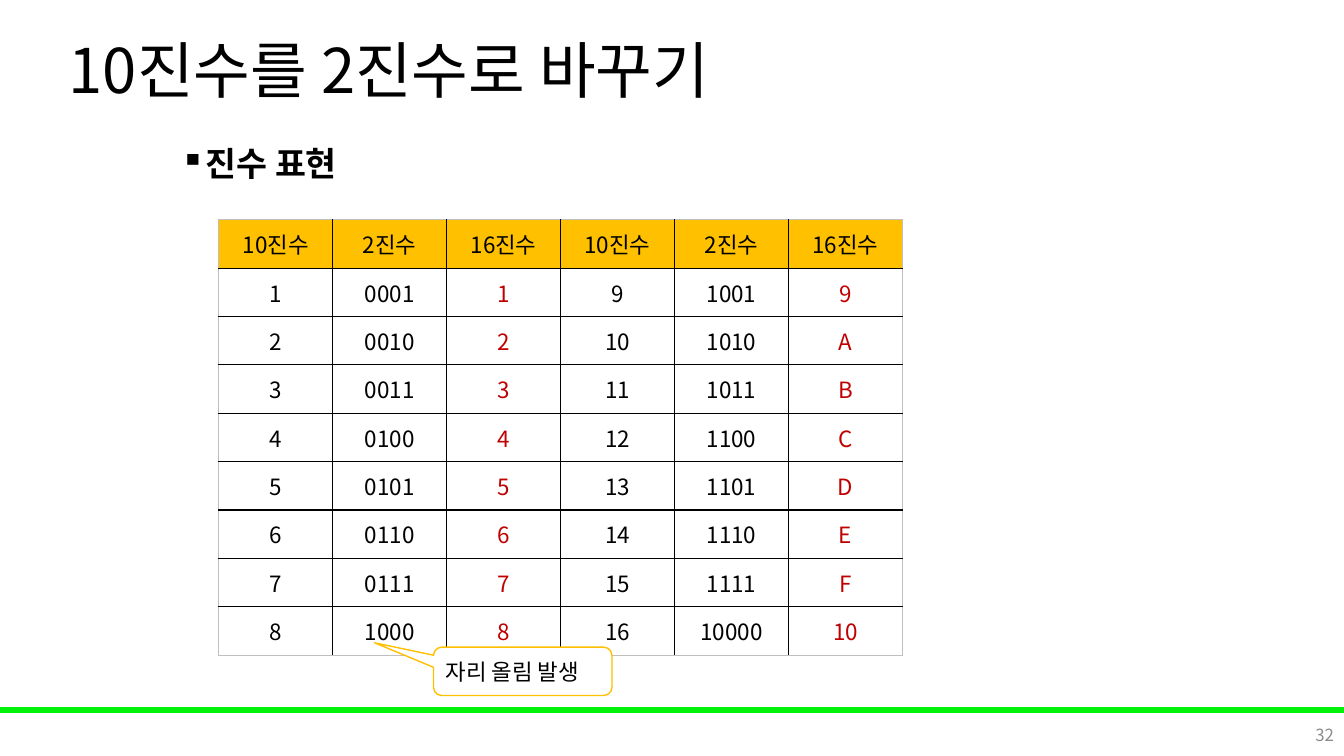
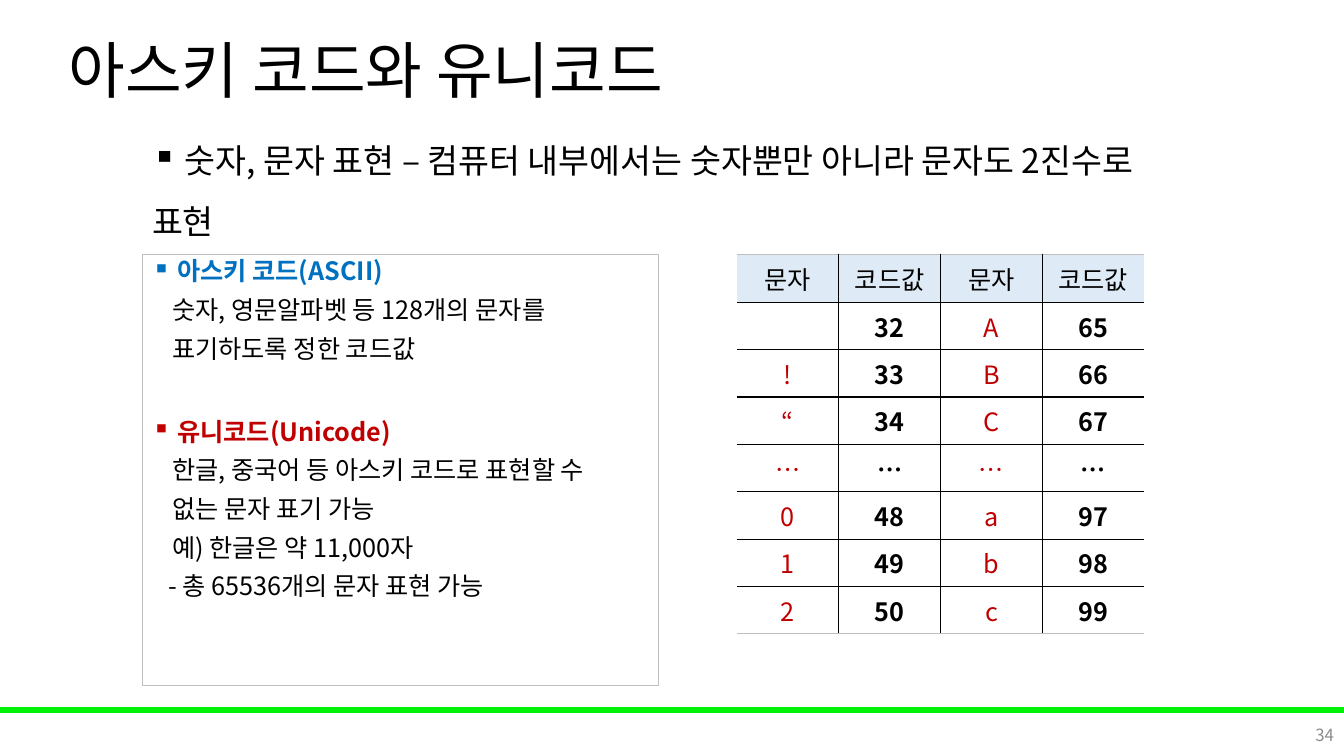
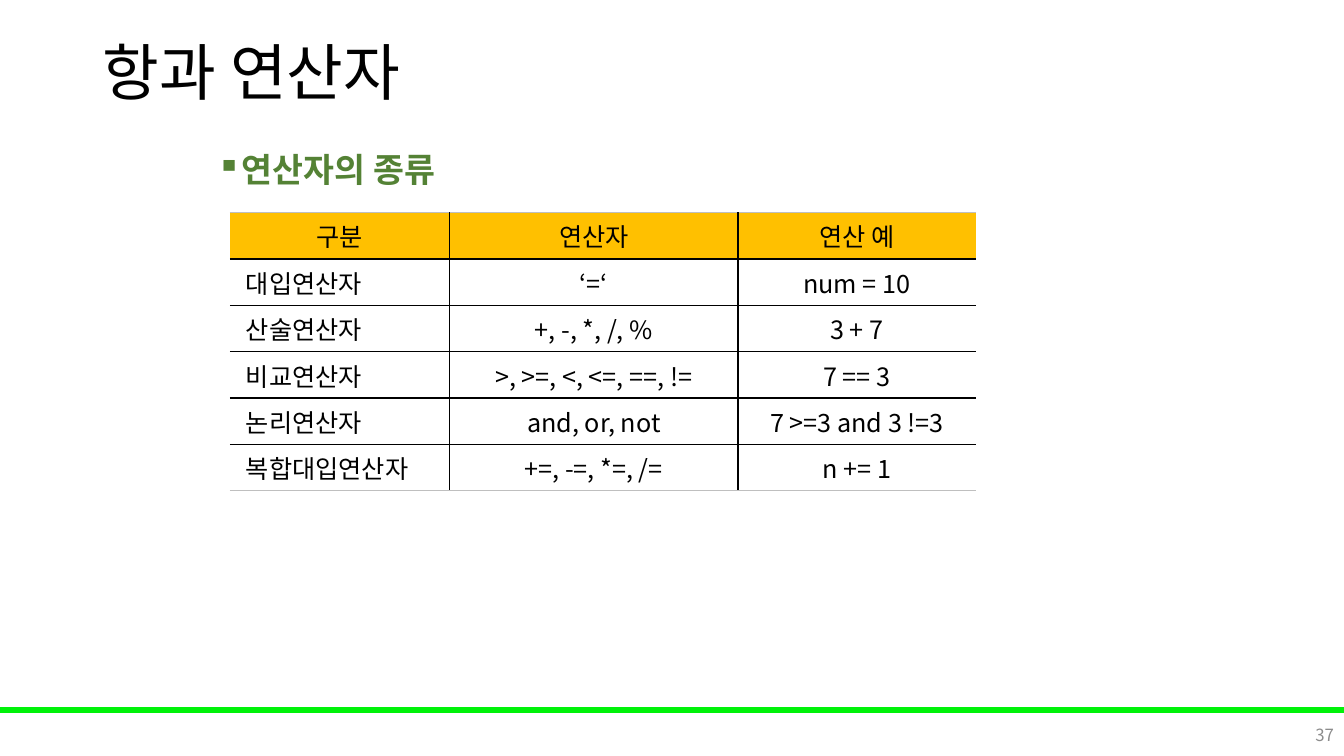
from pptx import Presentation
from pptx.dml.color import RGBColor
from pptx.enum.shapes import MSO_SHAPE
from pptx.enum.text import MSO_ANCHOR, PP_ALIGN
from pptx.oxml.ns import qn
from pptx.util import Inches, Pt
from lxml import etree

LEFT, CENTER, RIGHT = PP_ALIGN.LEFT, PP_ALIGN.CENTER, PP_ALIGN.RIGHT
TOP, MIDDLE = MSO_ANCHOR.TOP, MSO_ANCHOR.MIDDLE
RECT, CALLOUT = MSO_SHAPE.RECTANGLE, MSO_SHAPE.ROUNDED_RECTANGULAR_CALLOUT

# Shared style
WIDTH, HEIGHT = 13.33, 7.5
FONT = "Noto Sans CJK KR"
BLACK, WHITE, RED, BLUE, GREEN = "000000", "FFFFFF", "C00000", "0070C0", "548235"
AMBER, PALE_BLUE, LIGHT_GRAY, NUMBER_GRAY = "FFC000", "DEEBF7", "BFBFBF", "8C8C8C"
BAND_GREEN = "00F209"
TITLE_SIZE = (11.5, 1.45)

# Content
BASES = [["10진수", "2진수", "16진수"] * 2] + [
    [str(n), f"{n:04b}", f"{n:X}", str(n + 8), f"{n + 8:04b}", f"{n + 8:X}"]
    for n in range(1, 9)
]

CODES = [
    ["문자", "코드값", "문자", "코드값"],
    ["", "32", "A", "65"],
    ["!", "33", "B", "66"],
    ["“", "34", "C", "67"],
    ["…", "…", "…", "…"],
    ["0", "48", "a", "97"],
    ["1", "49", "b", "98"],
    ["2", "50", "c", "99"],
]

CODE_NOTES = [
    ("아스키 코드(ASCII)", dict(color=BLUE, bold=True, bullet=True, hang=0.25)),
    ("숫자, 영문알파벳 등 128개의 문자를", dict(indent=0.2)),
    ("표기하도록 정한 코드값", dict(indent=0.2)),
    ("유니코드(Unicode)",
     dict(color=RED, bold=True, bullet=True, hang=0.25, before=39.8)),
    ("한글, 중국어 등 아스키 코드로 표현할 수", dict(indent=0.2)),
    ("없는 문자 표기 가능", dict(indent=0.2)),
    ("예) 한글은 약 11,000자", dict(indent=0.2)),
    ("- 총 65536개의 문자 표현 가능", dict(indent=0.16)),
]

OPERATORS = [
    ["구분", "연산자", "연산 예"],
    ["대입연산자", "‘=‘", "num = 10"],
    ["산술연산자", "+, -, *, /, %", "3 + 7"],
    ["비교연산자", ">, >=, <, <=, ==, !=", "7 == 3"],
    ["논리연산자", "and, or, not", "7 >=3 and 3 !=3"],
    ["복합대입연산자", "+=, -=, *=, /=", "n += 1"],
]


def rgb(color):
    return RGBColor.from_string(color)


def write(paragraph, text, size=18, color=BLACK, bold=False, align=LEFT,
          spacing=1.0, before=0, bullet=False, hang=0, indent=0):
    """Fill one paragraph with formatted text."""
    paragraph.alignment = align
    paragraph.line_spacing = spacing
    paragraph.space_before = Pt(before)
    props = paragraph._p.get_or_add_pPr()
    props.set("marL", str(Inches(hang + indent)))
    props.set("indent", str(-Inches(hang)))
    if bullet:
        etree.SubElement(props, qn("a:buChar"), char="▪")
    else:
        etree.SubElement(props, qn("a:buNone"))
    run = paragraph.add_run()
    run.text = text
    run.font.name = FONT
    run.font.size = Pt(size)
    run.font.bold = bold
    run.font.color.rgb = rgb(color)
    etree.SubElement(run._r.get_or_add_rPr(), qn("a:ea"), typeface=FONT)


def add_text(slide, box, text, anchor=TOP, **text_format):
    frame = slide.shapes.add_textbox(*map(Inches, box)).text_frame
    frame.word_wrap = True
    frame.vertical_anchor = anchor
    write(frame.paragraphs[0], text, **text_format)


def add_panel(slide, preset, box, fill, line, weight):
    panel = slide.shapes.add_shape(preset, *map(Inches, box))
    panel.shadow.inherit = False
    if fill:
        panel.fill.solid()
        panel.fill.fore_color.rgb = rgb(fill)
    else:
        panel.fill.background()
    panel.line.color.rgb = rgb(line)
    panel.line.width = Pt(weight)
    return panel


def border(cell, side, color):
    """Draw one cell edge; no colour means no line."""
    line = etree.SubElement(cell._tc.get_or_add_tcPr(), qn(f"a:ln{side}"),
                            w=str(Pt(0.75 if color == LIGHT_GRAY else 1)))
    if color:
        fill = etree.SubElement(line, qn("a:solidFill"))
        etree.SubElement(fill, qn("a:srgbClr"), val=color)
    else:
        etree.SubElement(line, qn("a:noFill"))


def add_grid(slide, at, rows, widths, heights, header_fill, side_line=None,
             size=18, column_formats=None):
    """Add a table; column_formats maps a column to its body text format."""
    box = (*at, sum(widths), sum(heights))
    table = slide.shapes.add_table(len(rows), len(widths), *map(Inches, box)).table
    table.first_row = table.horz_banding = False
    for column, width in zip(table.columns, widths):
        column.width = Inches(width)
    for row, height in zip(table.rows, heights):
        row.height = Inches(height)
    last_row, last_column = len(rows) - 1, len(widths) - 1
    for r, row in enumerate(rows):
        for c, text in enumerate(row):
            cell = table.cell(r, c)
            border(cell, "L", BLACK if c else side_line)
            border(cell, "R", BLACK if c < last_column else side_line)
            border(cell, "T", BLACK if r else LIGHT_GRAY)
            border(cell, "B", BLACK if r < last_row else LIGHT_GRAY)
            if r == 0:
                cell.fill.solid()
                cell.fill.fore_color.rgb = rgb(header_fill)
            else:
                cell.fill.background()
            cell.vertical_anchor = MIDDLE
            body = (column_formats or {}).get(c, {}) if r else {}
            write(cell.text_frame.paragraphs[0], text,
                  **{"size": size, "align": CENTER, **body})


def new_slide(deck, title, number, at=(0.44, 0)):
    """Start a slide with the shared title, band and number."""
    slide = deck.slides.add_slide(deck.slide_layouts[5])
    add_panel(slide, RECT, (0, 7.02, WIDTH, 0.05), BAND_GREEN, BAND_GREEN, 1)
    heading = slide.shapes.title
    heading.left, heading.top = map(Inches, at)
    heading.width, heading.height = map(Inches, TITLE_SIZE)
    frame = heading.text_frame
    frame.word_wrap = True
    frame.vertical_anchor = MIDDLE
    frame.margin_left = Inches(0.24)
    write(frame.paragraphs[0], title, size=44, spacing=0.9)
    add_text(slide, (WIDTH - 3, 7.09, 3, 0.4), str(number), anchor=MIDDLE,
             size=12, color=NUMBER_GRAY, align=RIGHT)
    return slide


def build_bases(deck):
    slide = new_slide(deck, "10진수를 2진수로 바꾸기", 32)
    add_text(slide, (1.69, 1.17, 5.75, 0.47), "진수 표현", size=24, bold=True,
             spacing=1.5, bullet=True, hang=0.25)
    add_grid(slide, (2.17, 2.18), BASES, [1.13] * 6, [0.48] * 9, AMBER,
             side_line=LIGHT_GRAY, size=16,
             column_formats={2: dict(color=RED), 5: dict(color=RED)})
    carry = add_panel(slide, CALLOUT, (4.3, 6.42, 1.77, 0.48), WHITE, AMBER, 1)
    for i, value in enumerate((-0.83, -0.59, 0.17)):
        carry.adjustments[i] = value
    carry.text_frame.vertical_anchor = MIDDLE
    write(carry.text_frame.paragraphs[0], "자리 올림 발생", size=16)


def build_codes(deck):
    slide = new_slide(deck, "아스키 코드와 유니코드", 34)
    notes = add_panel(slide, RECT, (1.41, 2.52, 5.12, 4.28), None, LIGHT_GRAY, 0.75)
    frame = notes.text_frame
    frame.word_wrap = True
    frame.vertical_anchor = TOP
    for i, (text, text_format) in enumerate(CODE_NOTES):
        paragraph = frame.add_paragraph() if i else frame.paragraphs[0]
        write(paragraph, text,
              **{"spacing": 0.9, "before": 8.2 if i else 0, **text_format})
    symbol, code = dict(color=RED), dict(bold=True)
    add_grid(slide, (7.31, 2.52), CODES, [1.01] * 4, [0.48] + [0.47] * 7, PALE_BLUE,
             column_formats={0: symbol, 1: code, 2: symbol, 3: code})
    add_text(slide, (1.41, 1.14, 9.95, 1.26),
             " 숫자, 문자 표현 – 컴퓨터 내부에서는 숫자뿐만 아니라 문자도 2진수로 표현",
             size=24, spacing=1.5, bullet=True)


def build_operators(deck):
    slide = new_slide(deck, "항과 연산자", 37, at=(0.78, 0.02))
    add_text(slide, (2.05, 1.47, 9.42, 0.6), "연산자의 종류", size=24, color=GREEN,
             bold=True, spacing=0.9, bullet=True, hang=0.25)
    add_grid(slide, (2.28, 2.11), OPERATORS, [2.18, 2.86, 2.36], [0.46] * 6, AMBER,
             column_formats={0: dict(align=LEFT, indent=0.06)})


def main():
    deck = Presentation()
    deck.slide_width, deck.slide_height = Inches(WIDTH), Inches(HEIGHT)
    for build in (build_bases, build_codes, build_operators):
        build(deck)
    deck.save("out.pptx")


if __name__ == "__main__":
    main()
